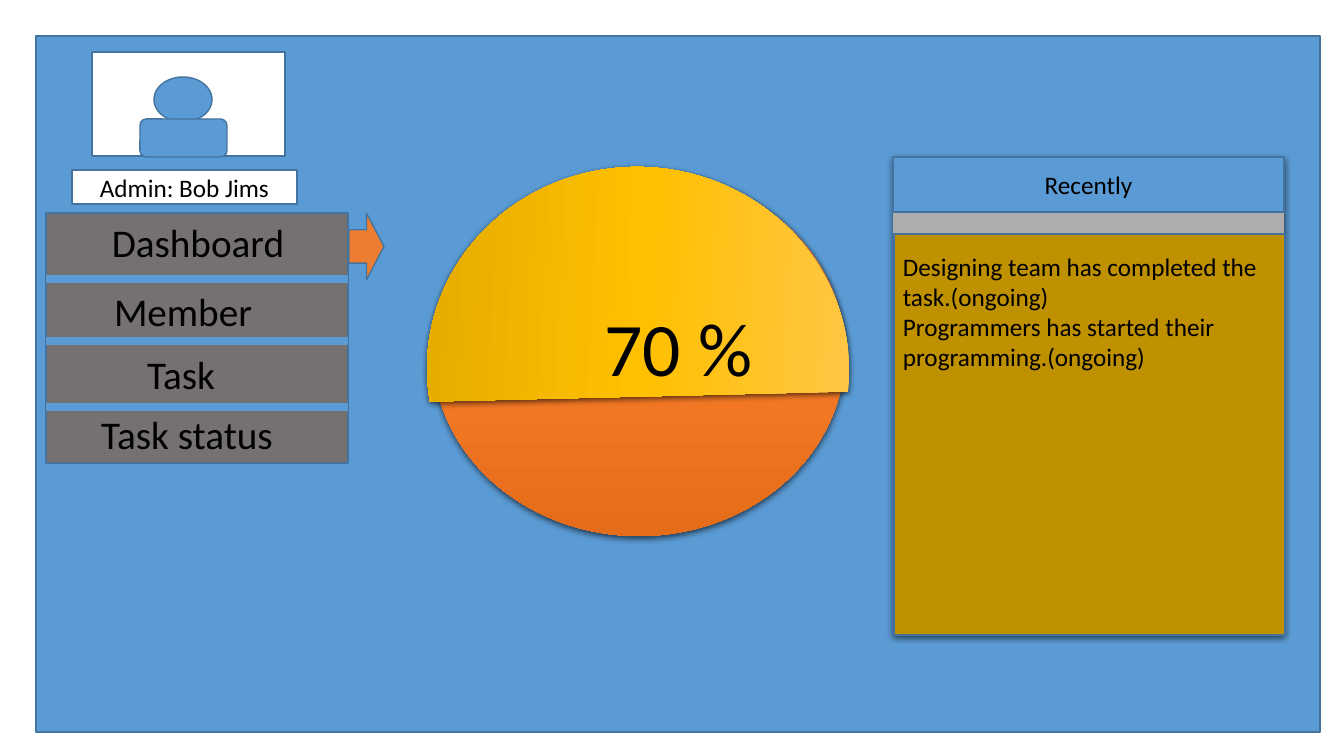
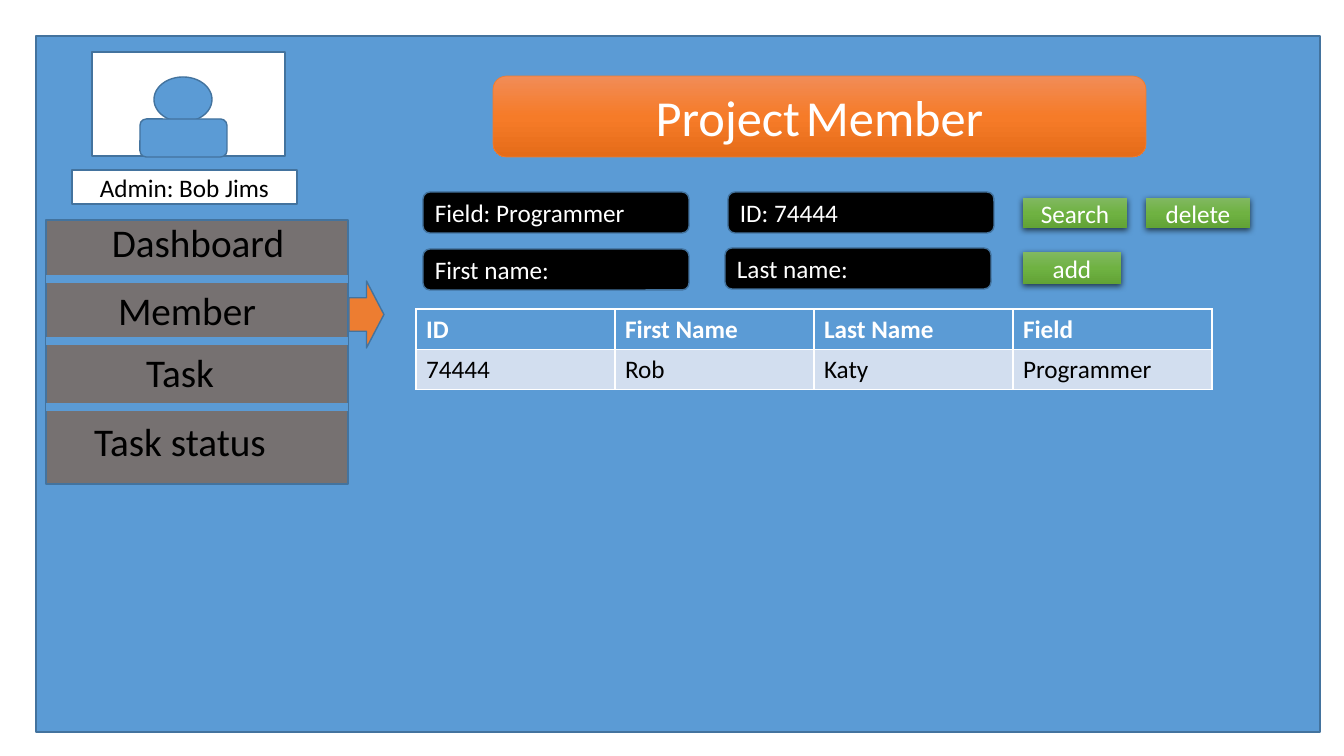
"""Build two slides of a project management dashboard."""
from lxml import etree
from pptx import Presentation
from pptx.dml.color import RGBColor
from pptx.enum.shapes import MSO_CONNECTOR, MSO_SHAPE
from pptx.enum.text import MSO_ANCHOR, PP_ALIGN
from pptx.oxml import parse_xml
from pptx.oxml.ns import nsdecls, qn
from pptx.util import Emu, Pt

RECT = MSO_SHAPE.RECTANGLE
ROUND = MSO_SHAPE.ROUNDED_RECTANGLE
OVAL = MSO_SHAPE.OVAL
CHORD = MSO_SHAPE.CHORD
ARROW = MSO_SHAPE.RIGHT_ARROW
STRAIGHT = MSO_CONNECTOR.STRAIGHT
LEFT, CENTER = PP_ALIGN.LEFT, PP_ALIGN.CENTER
TOP, MIDDLE = MSO_ANCHOR.TOP, MSO_ANCHOR.MIDDLE

BLUE = RGBColor(0x5B, 0x9B, 0xD5)
EDGE = RGBColor(0x43, 0x73, 0x9E)
GRAY = RGBColor(0x76, 0x71, 0x71)
ORANGE = RGBColor(0xED, 0x7D, 0x31)
OCHRE = RGBColor(0xBF, 0x90, 0x00)
PALE = RGBColor(0xD2, 0xDE, 0xEF)
BLACK = RGBColor(0, 0, 0)
WHITE = RGBColor(0xFF, 0xFF, 0xFF)
ORANGE_GRAD = (RGBColor(0xF1, 0x8C, 0x57), RGBColor(0xF6, 0x7B, 0x28), RGBColor(0xE5, 0x6C, 0x19))
GOLD_GRAD = (RGBColor(0xFF, 0xC6, 0x4B), RGBColor(0xFF, 0xC0, 0x00), RGBColor(0xE3, 0xAB, 0x00))
GRAY_GRAD = (RGBColor(0xAF, 0xAF, 0xAF), RGBColor(0xA5, 0xA5, 0xA5), RGBColor(0x93, 0x93, 0x93))
GREEN_GRAD = (RGBColor(0x81, 0xB8, 0x61), RGBColor(0x6F, 0xB2, 0x42), RGBColor(0x62, 0xA3, 0x36))

FONT = "Calibri"
MENU = ("Dashboard", "Member", "Task", "Task status")
MENU_X, MENU_W = 46, 302
DIVIDERS = (279, 341, 407)


def px(n):
    """Turn pixels into EMU."""
    return Emu(round(n * 914400 / 100.8))


def add_run(p, text, size=18, color=BLACK, bold=False):
    """Append a formatted run to a paragraph."""
    r = p.add_run()
    r.text = text
    r.font.name = FONT
    r.font.size = Pt(size)
    r.font.color.rgb = color
    r.font.bold = bold


def write(tf, text, align=LEFT, anchor=MIDDLE, wrap=True, **font):
    """Fill a text frame, one paragraph per line of text."""
    tf.word_wrap = wrap
    tf.vertical_anchor = anchor
    for i, line in enumerate(text.split("\n")):
        p = tf.add_paragraph() if i else tf.paragraphs[0]
        p.alignment = align
        add_run(p, line, **font)


def add_label(s, box, text, **style):
    """Add a text box."""
    sp = s.shapes.add_textbox(*map(px, box))
    write(sp.text_frame, text, anchor=TOP, **style)


def fill_gradient(sp, colors):
    """Fill a shape from top to bottom with evenly spaced colours."""
    sp.fill.gradient()
    sp.fill.gradient_angle = 270
    stops = sp._element.spPr.find(".//" + qn("a:gsLst"))
    for stop in list(stops):
        stops.remove(stop)
    for i, color in enumerate(colors):
        pos = 100000 * i // (len(colors) - 1)
        stops.append(parse_xml(
            f'<a:gs {nsdecls("a")} pos="{pos}"><a:srgbClr val="{color}"/></a:gs>'))


def cast_shadow(sp):
    """Give a shape a soft shadow straight below it."""
    sp._element.spPr.find(qn("a:effectLst")).append(parse_xml(
        f'<a:outerShdw {nsdecls("a")} blurRad="57150" dist="19050" dir="5400000" algn="ctr" '
        'rotWithShape="0"><a:srgbClr val="000000"><a:alpha val="63000"/></a:srgbClr></a:outerShdw>'))


def add_box(s, kind, box, fill, line=EDGE, width=1, shadow=False):
    """Add a preset shape with a solid fill or a gradient."""
    sp = s.shapes.add_shape(kind, *map(px, box))
    sp.shadow.inherit = False
    if isinstance(fill, RGBColor):
        sp.fill.solid()
        sp.fill.fore_color.rgb = fill
    else:
        fill_gradient(sp, fill)
    if line is None:
        sp.line.fill.background()
    else:
        sp.line.color.rgb = line
        sp.line.width = Pt(width)
    if shadow:
        cast_shadow(sp)
    return sp


def add_divider(s, y):
    """Add a thick line across the menu."""
    c = s.shapes.add_connector(STRAIGHT, px(MENU_X), px(y), px(MENU_X + MENU_W), px(y))
    c.line.color.rgb = BLUE
    c.line.width = Pt(6)
    etree.SubElement(c._element.spPr, qn("a:effectLst"))


def add_frame(prs, menu_top, menu_height, label_spots, arrow_y):
    """Add a slide with the backdrop, the menu and the admin badge."""
    s = prs.slides.add_slide(prs.slide_layouts[6])
    add_box(s, RECT, (36, 36, 1284, 696), BLUE)
    add_box(s, RECT, (MENU_X, menu_top, MENU_W, menu_height), GRAY)
    for text, (x, y) in zip(MENU, label_spots):
        add_label(s, (x, y, 252, 57), text, align=CENTER, size=28)
    for y in DIVIDERS:
        add_divider(s, y)
    add_box(s, ARROW, (MENU_X + MENU_W + 1, arrow_y, 35, 67), ORANGE)
    add_box(s, RECT, (92, 52, 193, 104), WHITE)
    add_box(s, OVAL, (154, 77, 58, 45), BLUE)
    add_box(s, ROUND, (140, 119, 87, 38), BLUE)
    badge = add_box(s, RECT, (72, 170, 225, 34), WHITE)
    write(badge.text_frame, "Admin: Bob Jims", align=CENTER)
    return s


def add_field(s, x, y, text):
    """Add a black input field."""
    sp = add_box(s, ROUND, (x, y, 266, 41), BLACK)
    write(sp.text_frame, text, color=WHITE)


def add_button(s, box, text):
    """Add a green button."""
    sp = add_box(s, RECT, box, GREEN_GRAD, line=None, shadow=True)
    write(sp.text_frame, text, align=CENTER, color=WHITE)


def add_grid(s, x, y, col_width, row_height, rows):
    """Add a table whose first row is the header."""
    n = len(rows[0])
    table = s.shapes.add_table(len(rows), n, px(x), px(y), px(col_width * n),
                               px(row_height * len(rows))).table
    for i, row in enumerate(rows):
        for j, text in enumerate(row):
            cell = table.cell(i, j)
            cell.fill.solid()
            cell.fill.fore_color.rgb = PALE if i else BLUE
            add_run(cell.text_frame.paragraphs[0], text,
                    color=BLACK if i else WHITE, bold=not i)


def add_progress(s):
    """Add the round progress gauge."""
    add_box(s, OVAL, (433, 170, 412, 366), ORANGE_GRAD, line=None, shadow=True)
    done = add_box(s, CHORD, (436, 158, 404, 422), GOLD_GRAD, line=None, shadow=True)
    done.rotation = 93
    done.adjustments[0] = 46.85
    done.adjustments[1] = 163.89
    add_label(s, (594, 296, 169, 102), "70 %", align=CENTER, wrap=False, size=54)


def add_recent(s):
    """Add the panel of recent events."""
    add_box(s, RECT, (893, 157, 391, 478), GRAY_GRAD, line=None, shadow=True)
    header = add_box(s, RECT, (893, 157, 391, 55), BLUE)
    write(header.text_frame, "Recently", align=CENTER)
    add_box(s, RECT, (894, 234, 391, 401), OCHRE)
    add_label(s, (893, 246, 391, 194),
              "Designing team has completed the task.(ongoing)\n"
              "Programmers has started their programming.(ongoing)")


def add_title(s):
    """Add the page title."""
    sp = add_box(s, ROUND, (493, 76, 653, 81), ORANGE_GRAD, line=ORANGE, width=0.5)
    write(sp.text_frame, "Project", align=CENTER, size=36, color=WHITE)
    p = sp.text_frame.paragraphs[0]
    add_run(p, " ", color=WHITE)
    add_run(p, "Member", size=36, color=WHITE)


def main():
    """Build and save the presentation."""
    prs = Presentation()
    prs.slide_width, prs.slide_height = px(1344), px(756)

    s = add_frame(prs, 213, 250, ((72, 213), (57, 282), (55, 345), (61, 405)), 213)
    add_progress(s)
    add_recent(s)

    s = add_frame(prs, 220, 264, ((72, 213), (61, 281), (54, 343), (54, 412)), 281)
    add_grid(s, 416, 309, 199, 40, (("ID", "First Name", "Last Name", "Field"),
                                    ("74444", "Rob", "Katy", "Programmer")))
    add_title(s)
    add_field(s, 423, 192, "Field: Programmer")
    add_field(s, 728, 192, "ID: 74444")
    add_field(s, 423, 249, "First name:")
    add_field(s, 725, 248, "Last name:")
    add_button(s, (1023, 198, 104, 30), "Search")
    add_button(s, (1146, 198, 104, 30), "delete")
    add_button(s, (1023, 252, 98, 32), "add")

    prs.save("out.pptx")


main()
